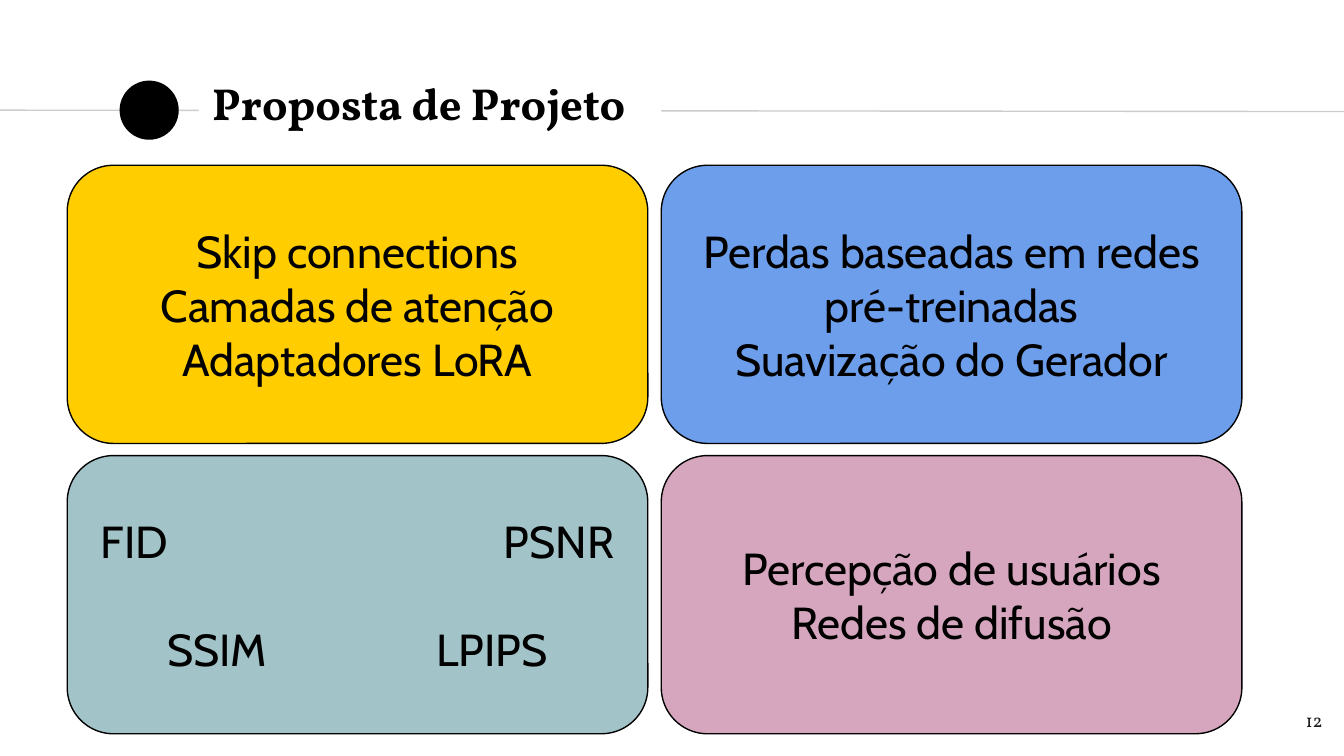
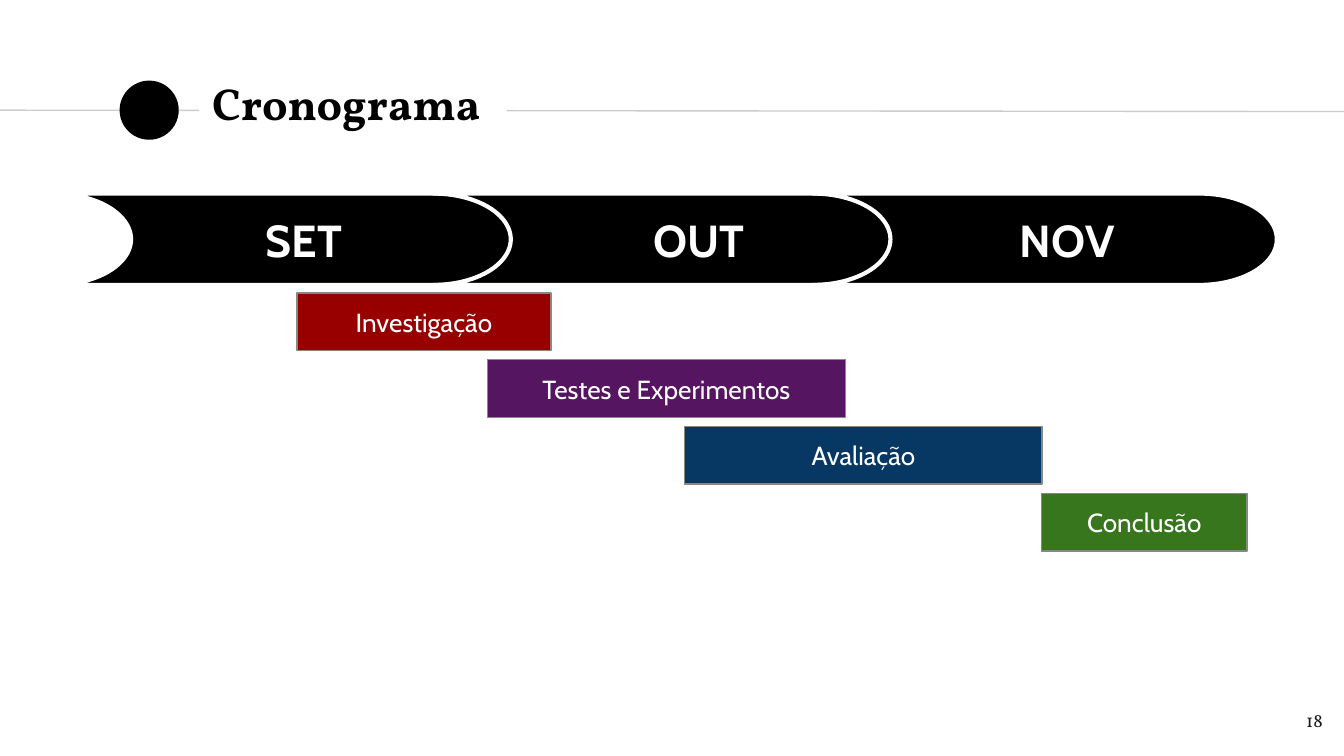
from dataclasses import dataclass

from lxml.etree import SubElement
from pptx import Presentation
from pptx.dml.color import RGBColor as RGB
from pptx.enum.shapes import MSO_CONNECTOR as CONN, MSO_SHAPE as SHAPE
from pptx.enum.text import MSO_ANCHOR as ANCHOR, PP_ALIGN as ALIGN
from pptx.oxml.ns import qn
from pptx.util import Inches, Pt


@dataclass(frozen=True)
class Theme:
    black: str = "000000"
    white: str = "FFFFFF"
    rule: str = "CCCCCC"
    page: str = "1D1D1B"
    bar_edge: str = "8A8682"
    yellow: str = "FFCD00"
    blue: str = "6D9EEB"
    teal: str = "A2C4C9"
    pink: str = "D5A6BD"
    red: str = "980000"
    purple: str = "561561"
    navy: str = "073763"
    green: str = "38761D"
    title = dict(name="Vollkorn", size=Pt(24), bold=True)
    number = dict(name="Vollkorn", size=Pt(10), bold=False)
    body = dict(name="Cabin", size=Pt(24), bold=False)
    month = dict(name="Cabin", size=Pt(24), bold=True)
    task = dict(name="Cabin", size=Pt(14), bold=False)
    thin: float = 0.75
    thick: float = 2.25
    blank_line: int = 29


T = Theme()
COLS, ROWS = 100, 56.25


def cells(n):
    return Inches(n / 10)


@dataclass(frozen=True)
class Box:
    x: float
    y: float
    w: float
    h: float

    def sub(self, x, y, w, h):
        return Box(self.x + x, self.y + y, w, h)

    def cell(self, col, row, cols, rows, gap_x, gap_y):
        w = (self.w - gap_x * (cols - 1)) / cols
        h = (self.h - gap_y * (rows - 1)) / rows
        return self.sub(col * (w + gap_x), row * (h + gap_y), w, h)

    def emu(self):
        return [cells(n) for n in (self.x, self.y, self.w, self.h)]


HEADER = Box(0, 5.8, COLS, 4.8)
FOOTER = Box(93.4, 51.9, 6, 4.3)
CARDS = Box(5, 12.3, 87.4, 42.3)
TIMELINE = Box(4, 14.4, 91, 26.6)


def write(sp, lines, fmt, color, align=ALIGN.CENTER, anchor=ANCHOR.MIDDLE):
    tf = sp.text_frame
    frame = dict(word_wrap=True, vertical_anchor=anchor)
    frame.update((f"margin_{side}", Inches(0.1)) for side in ("left", "right", "top", "bottom"))
    for key, value in frame.items():
        setattr(tf, key, value)
    for i, line in enumerate(lines):
        p = tf.add_paragraph() if i else tf.paragraphs[0]
        p.alignment = align
        r = p.add_run()
        r.text = line
        for key, value in fmt.items():
            setattr(r.font, key, value)
        r.font.color.rgb = RGB.from_string(color)
    return tf


def add_shape(shapes, kind, box, fill, edge=None, width=T.thin):
    sp = shapes.add_shape(kind, *box.emu())
    sp.shadow.inherit = False
    sp.fill.solid()
    sp.fill.fore_color.rgb = RGB.from_string(fill)
    if edge:
        sp.line.color.rgb = RGB.from_string(edge)
        sp.line.width = Pt(width)
    else:
        sp.line.fill.background()
    return sp


def add_text(shapes, box, *args, **kwargs):
    return write(shapes.add_textbox(*box.emu()), *args, **kwargs)


def set_tab(p, stop):
    tabs = SubElement(p._p.get_or_add_pPr(), qn("a:tabLst"))
    SubElement(tabs, qn("a:tab"), pos=str(cells(stop)), algn="l")


def header(s, box, title, title_w):
    y = box.y + box.h / 2
    ends = [cells(n) for n in (box.x, y, box.x + box.w, y + 0.1)]
    line = s.shapes.add_connector(CONN.STRAIGHT, *ends)
    line.line.color.rgb = RGB.from_string(T.rule)
    line.line.width = Pt(T.thin)
    SubElement(line._element.spPr, qn("a:effectLst"))
    add_shape(s.shapes, SHAPE.OVAL, box.sub(8.9, 0.2, 4.4, 4.4), T.black)
    sp = add_shape(s.shapes, SHAPE.RECTANGLE, box.sub(14.8, 0, title_w, box.h), T.white)
    write(sp, [title], T.title, T.black, ALIGN.LEFT, ANCHOR.BOTTOM)


def footer(s, box, number):
    add_text(s.shapes, box, [number], T.number, T.page, ALIGN.RIGHT, ANCHOR.TOP)


def add_slide(prs, title, title_w, number):
    s = prs.slides.add_slide(prs.slide_layouts[6])
    header(s, HEADER, title, title_w)
    footer(s, FOOTER, number)
    return s


def cards(s, box, items):
    frames = []
    for i, (fill, lines) in enumerate(items):
        row, col = divmod(i, 2)
        place = box.cell(col, row, 2, 2, 1, 0.9)
        sp = add_shape(s.shapes, SHAPE.ROUNDED_RECTANGLE, place, fill, T.black)
        frames.append(write(sp, lines, T.body, T.black))
    return frames


def months(s, box, items):
    group = s.shapes.add_group_shape().shapes
    w, h = 34.5, 6.8
    step = (box.w - w) / (len(items) - 1)
    for i in range(len(items)):
        sp = add_shape(group, SHAPE.FLOWCHART_STORED_DATA, box.sub(i * step, 0, w, h),
                       T.black, T.white, T.thick)
        sp.rotation = 180
    for i, (name, inset) in enumerate(items):
        add_text(group, box.sub(i * step + inset, 1.5, 21.8, 3.8), [name], T.month, T.white)


def tasks(s, box, items):
    h = 4.3
    top = 7.4
    step = (box.h - top - h) / (len(items) - 1)
    for i, (name, x, w, fill) in enumerate(items):
        sp = add_shape(s.shapes, SHAPE.RECTANGLE, box.sub(x, top + i * step, w, h),
                       fill, T.bar_edge)
        write(sp, [name], T.task, T.white)


def proposal_slide(prs):
    s = add_slide(prs, "Proposta de Projeto", 34.4, "12")
    frames = cards(s, CARDS, [
        (T.yellow, ["Skip connections", "Camadas de atenção", "Adaptadores LoRA"]),
        (T.blue, ["Perdas baseadas em redes pré-treinadas", "Suavização do Gerador"]),
        (T.teal, ["FID\tPSNR", "SSIM\tLPIPS"]),
        (T.pink, ["Percepção de usuários", "Redes de difusão"]),
    ])
    metrics = frames[2].paragraphs
    for p, stop in zip(metrics, (30, 20)):
        set_tab(p, stop)
    metrics[1].space_before = Pt(T.blank_line)


def schedule_slide(prs):
    s = add_slide(prs, "Cronograma", 22.9, "18")
    months(s, TIMELINE, [("SET", 7.7), ("OUT", 8.85), ("NOV", 8)])
    tasks(s, TIMELINE, [
        ("Investigação", 18.1, 18.9, T.red),
        ("Testes e Experimentos", 32.3, 26.6, T.purple),
        ("Avaliação", 46.95, 26.6, T.navy),
        ("Conclusão", 73.5, 15.3, T.green),
    ])


def main():
    prs = Presentation()
    prs.slide_width, prs.slide_height = cells(COLS), cells(ROWS)
    proposal_slide(prs)
    schedule_slide(prs)
    prs.save("out.pptx")


if __name__ == "__main__":
    main()
